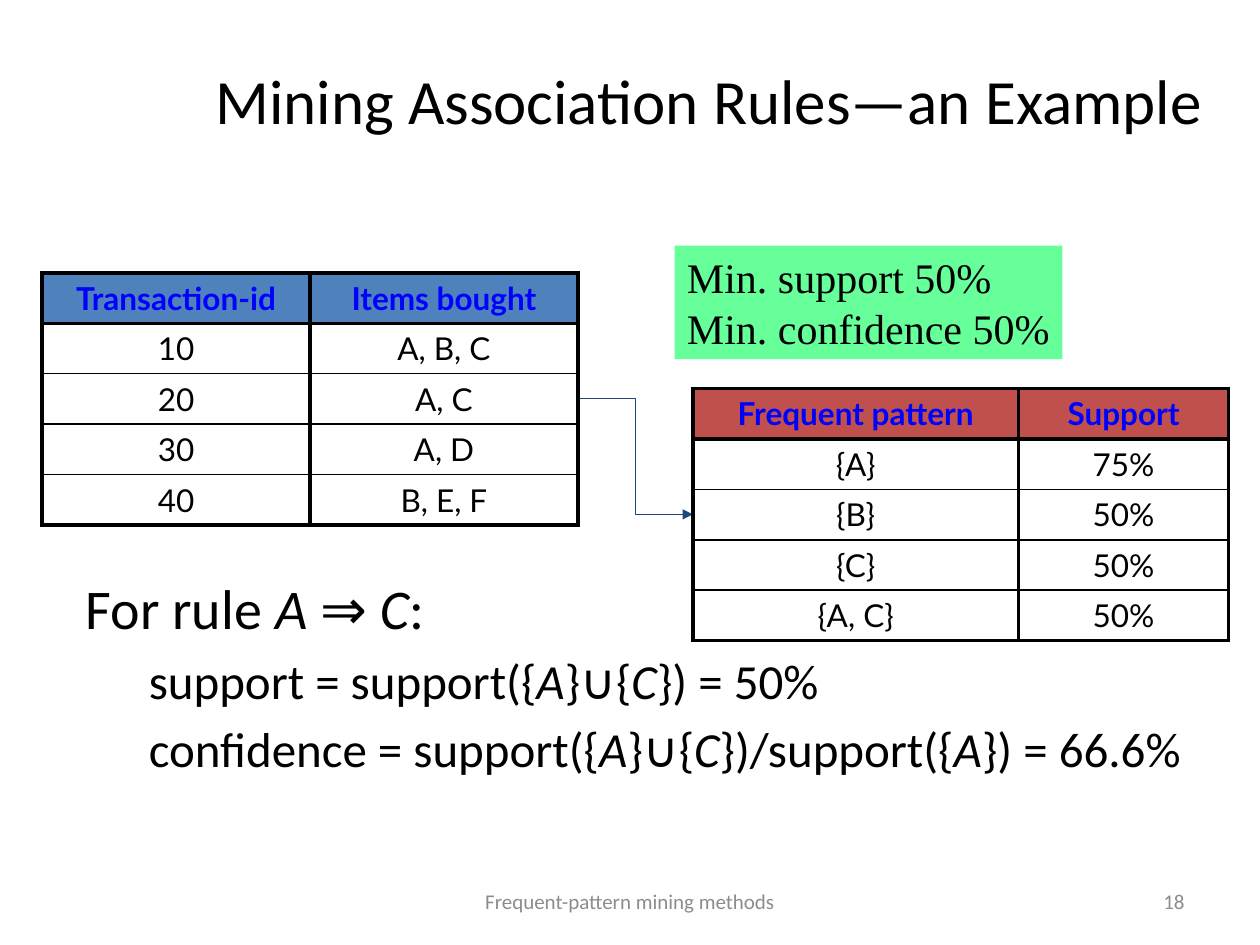
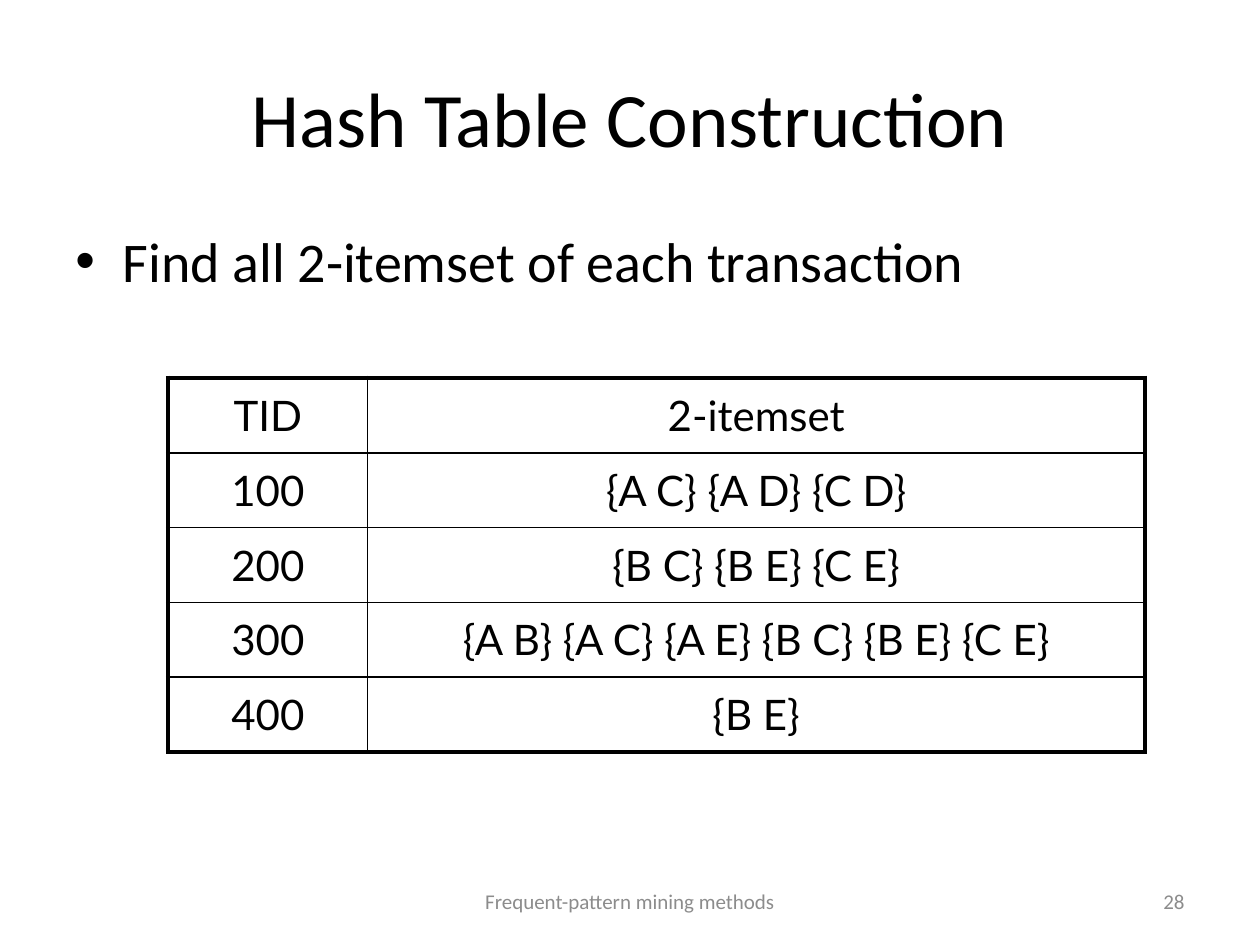
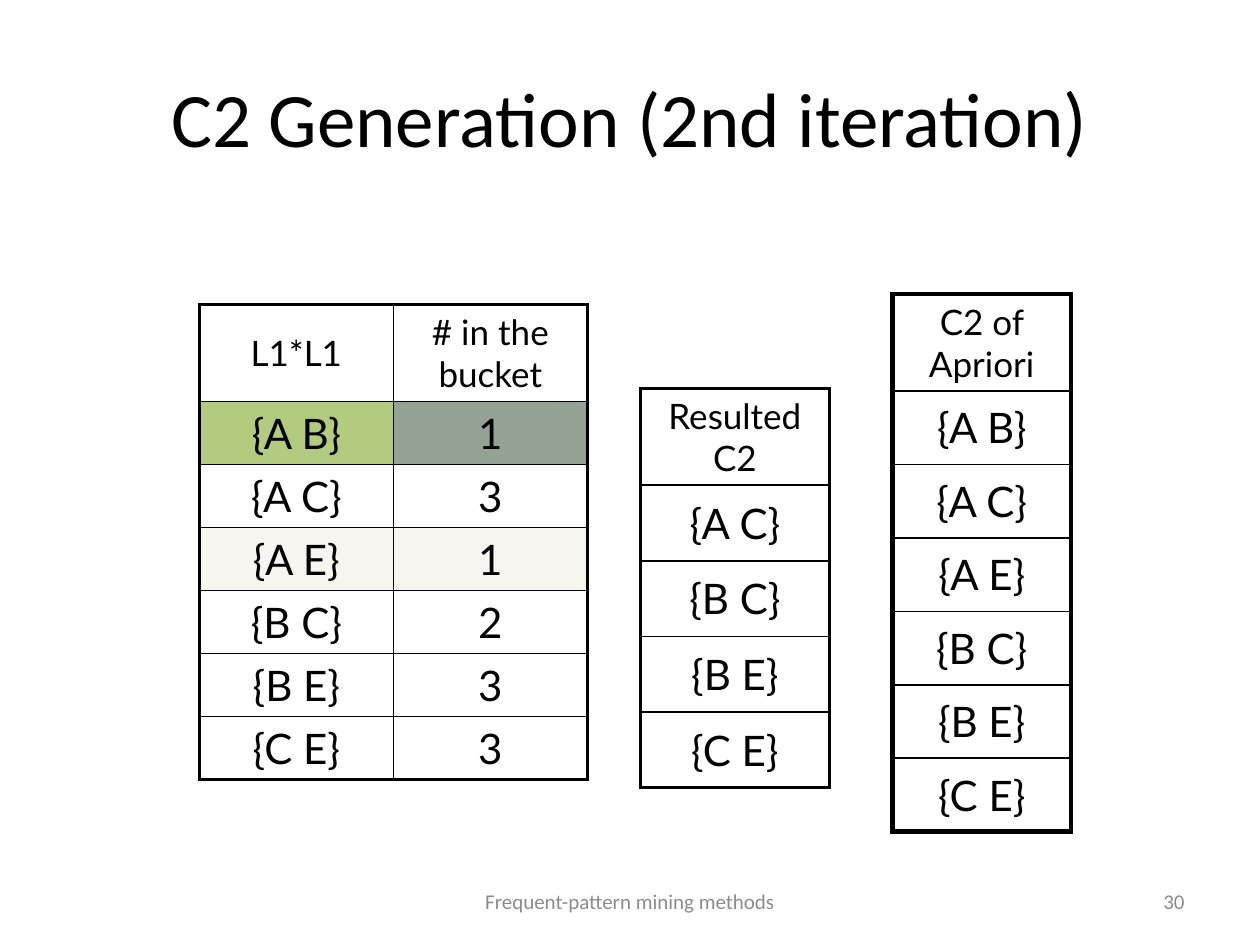
from dataclasses import dataclass

from lxml import etree
from pptx import Presentation
from pptx.dml.color import RGBColor
from pptx.enum.shapes import MSO_CONNECTOR, MSO_SHAPE
from pptx.enum.text import MSO_ANCHOR, PP_ALIGN
from pptx.oxml.ns import qn
from pptx.util import Cm, Pt

ELBOW = MSO_CONNECTOR.ELBOW
RECTANGLE = MSO_SHAPE.RECTANGLE
TOP, MIDDLE = MSO_ANCHOR.TOP, MSO_ANCHOR.MIDDLE
LEFT, CENTER, RIGHT = PP_ALIGN.LEFT, PP_ALIGN.CENTER, PP_ALIGN.RIGHT

BLACK = RGBColor(0x00, 0x00, 0x00)
GRAY = RGBColor(0x8C, 0x8C, 0x8C)
NAVY = RGBColor(0x1F, 0x49, 0x7D)
HEADING_BLUE = RGBColor(0x00, 0x00, 0xFF)
STEEL_BLUE = RGBColor(0x4F, 0x81, 0xBD)
BRICK_RED = RGBColor(0xC0, 0x50, 0x4D)
MINT = RGBColor(0x66, 0xFF, 0x99)
LEAF_GREEN = RGBColor(0x66, 0x99, 0x00)
DARK_GREEN = RGBColor(0x28, 0x46, 0x2B)
CREAM = RGBColor(0xEE, 0xEC, 0xE1)

BODY_FONT, TABLE_FONT, NOTE_FONT = "Calibri", "Lato", "Times New Roman"
FOOTER = "Frequent-pattern mining methods"
THIN = 1


@dataclass
class Box:
    left: float
    top: float
    width: float
    height: float

    def lengths(self):
        return Cm(self.left), Cm(self.top), Cm(self.width), Cm(self.height)


SLIDE = Box(0, 0, 25.4, 19.05)
TITLE = Box(1.27, 0.76, 22.86, 3.18)


def write(para, text, size=18, font=BODY_FONT, color=BLACK, bold=False,
          align=LEFT, margin=0, indent=0, before=0, bullet=None):
    para.alignment = align
    para.space_before = Pt(before)
    settings = para._p.get_or_add_pPr()
    settings.set("marL", str(Cm(margin)))
    settings.set("indent", str(Cm(indent)))
    if bullet:
        etree.SubElement(settings, qn("a:buFont"), typeface="Arial")
        etree.SubElement(settings, qn("a:buChar"), char=bullet)
    for index, part in enumerate(text.split("_")):
        if part:
            span = para.add_run()
            span.text = part
            span.font.size = Pt(size)
            span.font.name = font
            span.font.color.rgb = color
            span.font.bold = bold
            span.font.italic = index % 2 == 1


def add_text(page, box, text, anchor=MIDDLE, **style):
    frame = page.shapes.add_textbox(*box.lengths()).text_frame
    frame.word_wrap = True
    frame.vertical_anchor = anchor
    write(frame.paragraphs[0], text, **style)
    return frame


def add_page(deck, title, number, title_box=TITLE, title_size=44):
    page = deck.slides.add_slide(deck.slide_layouts[6])
    add_text(page, title_box, title, size=title_size, align=CENTER)
    add_footer(page, Box(8.68, 17.66, 15.45, 1.01), number)
    return page


def add_footer(page, box, number):
    caption = Box(box.left, box.top, 8.04, box.height)
    counter = Box(box.left + box.width - 5.93, box.top, 5.93, box.height)
    add_text(page, caption, FOOTER, size=12, color=GRAY, align=CENTER)
    add_text(page, counter, str(number), size=12, color=GRAY, align=RIGHT)


def set_borders(cell, widths):
    settings = cell._tc.get_or_add_tcPr()
    for index, (side, width) in enumerate(zip("LRTB", widths)):
        line = etree.Element(qn(f"a:ln{side}"), w=str(Pt(width)))
        fill = etree.SubElement(line, qn("a:solidFill"))
        etree.SubElement(fill, qn("a:srgbClr"), val=str(BLACK))
        settings.insert(index, line)


def fill_cell(cell, color, opacity=100):
    if color is None:
        cell.fill.background()
        return
    cell.fill.solid()
    cell.fill.fore_color.rgb = color
    if opacity < 100:
        swatch = cell._tc.tcPr.find(qn("a:solidFill")).find(qn("a:srgbClr"))
        etree.SubElement(swatch, qn("a:alpha"), val=str(opacity * 1000))


def edges(count, outer, inner, after_first):
    return [outer, after_first, *[inner] * (count - 2), outer] if count > 1 else [outer] * 2


def add_grid(page, box, rows, columns, outer, column_line=THIN, heading_line=THIN,
             heading_height=None, heading_style=None, heading_fill=None,
             heading_anchor=MIDDLE, anchor=MIDDLE, size=24, tints=None):
    table = page.shapes.add_table(len(rows), len(columns), *box.lengths()).table
    table.first_row = table.horz_banding = False
    for column, width in zip(table.columns, columns):
        column.width = Cm(width)
    heading_height = heading_height or box.height / len(rows)
    row_height = (box.height - heading_height) / (len(rows) - 1)
    across = edges(len(columns), outer, column_line, column_line)
    down = edges(len(rows), outer, THIN, heading_line)
    for row, texts in enumerate(rows):
        table.rows[row].height = Cm(row_height if row else heading_height)
        style = {"size": size, **({} if row else heading_style or {})}
        for column, text in enumerate(texts):
            cell = table.cell(row, column)
            cell.vertical_anchor = anchor if row else heading_anchor
            write(cell.text_frame.paragraphs[0], text, font=TABLE_FONT, align=CENTER, **style)
            tint = (tints or {}).get((row, column))
            if tint:
                fill_cell(cell, tint, 50)
            else:
                fill_cell(cell, None if row else heading_fill)
            set_borders(cell, (*across[column:column + 2], *down[row:row + 2]))


def add_example_table(page, box, rows, columns, heading_fill):
    add_grid(page, box, rows, columns, 2.25, column_line=2.25, heading_line=2.25,
             heading_style={"color": HEADING_BLUE, "bold": True}, heading_fill=heading_fill,
             heading_anchor=TOP, anchor=TOP, size=18)


def add_thresholds(page, box):
    note = page.shapes.add_shape(RECTANGLE, *box.lengths())
    note.shadow.inherit = False
    note.fill.solid()
    note.fill.fore_color.rgb = MINT
    note.line.fill.background()
    frame = note.text_frame
    frame.word_wrap = False
    frame.vertical_anchor = MIDDLE
    write(frame.paragraphs[0], "Min. support 50%", size=24, font=NOTE_FONT)
    write(frame.add_paragraph(), "Min. confidence 50%", size=24, font=NOTE_FONT)


def add_table_link(page, source, target):
    ends = (source.left + source.width, source.top + source.height / 2,
            target.left, target.top + target.height / 2)
    link = page.shapes.add_connector(ELBOW, *map(Cm, ends))
    link.line.color.rgb = NAVY
    link.line.width = Pt(0.75)
    etree.SubElement(link.line._get_or_add_ln(), qn("a:tailEnd"), type="triangle")
    etree.SubElement(link._element.spPr, qn("a:effectLst"))


def add_rule_measures(page, box):
    frame = add_text(page, box, "For rule _A_ ⇒ _C_:", anchor=TOP, size=32,
                     margin=0.95, indent=-0.95, before=6.4)
    for text in ("support = support({_A_}∪{_C_}) = 50%",
                 "confidence = support({_A_}∪{_C_})/support({_A_}) = 66.6%"):
        write(frame.add_paragraph(), text, size=28, margin=2.06, indent=-0.79, before=5.6)


def build_rule_example(deck):
    page = add_page(deck, "Mining Association Rules—an Example", 18,
                    Box(3.18, 1.06, 22.22, 1.9), 36)
    transactions = Box(0.85, 5.5, 10.8, 5.08)
    patterns = Box(13.97, 7.83, 10.8, 5.08)
    add_rule_measures(page, Box(1.48, 11.43, 23.1, 5.94))
    add_thresholds(page, Box(13.6, 4.95, 7.82, 2.29))
    add_table_link(page, transactions, patterns)
    add_example_table(page, transactions, [
        ("Transaction-id", "Items bought"), ("10", "A, B, C"), ("20", "A, C"),
        ("30", "A, D"), ("40", "B, E, F")], (5.4, 5.4), STEEL_BLUE)
    add_example_table(page, patterns, [
        ("Frequent pattern", "Support"), ("{A}", "75%"), ("{B}", "50%"),
        ("{C}", "50%"), ("{A, C}", "50%")], (6.56, 4.24), BRICK_RED)


def build_hash_table(deck):
    page = add_page(deck, "Hash Table Construction", 28)
    add_text(page, Box(1.27, 4.45, 22.86, 12.57), "Find all 2-itemset of each transaction",
             anchor=TOP, size=32, margin=0.95, indent=-0.95, before=6.4, bullet="•")
    add_grid(page, Box(3.39, 7.62, 19.69, 7.54), [
        ("TID", "2-itemset"), ("100", "{A C} {A D} {C D}"), ("200", "{B C} {B E} {C E}"),
        ("300", "{A B} {A C} {A E} {B C} {B E} {C E}"), ("400", "{B E}")], (4.02, 15.67), 3)


def build_candidates(deck):
    page = add_page(deck, "C2 Generation (2nd iteration)", 30)
    heading = {"heading_height": 1.95, "heading_style": {"size": 20}}
    pairs = ["{A B}", "{A C}", "{A E}", "{B C}", "{B E}", "{C E}"]
    counts = [1, 3, 1, 2, 3, 3]
    frequent = [pair for pair, count in zip(pairs, counts) if count > 1]
    tints = {(1, 0): LEAF_GREEN, (1, 1): DARK_GREEN, (3, 0): CREAM, (3, 1): CREAM}
    add_grid(page, Box(4.02, 6.14, 7.82, 9.58),
             [("L1*L1", "# in the bucket"), *zip(pairs, map(str, counts))],
             (3.91, 3.91), 2.25, tints=tints, **heading)
    for box, title, items, outer in (
            (Box(12.91, 7.83, 3.81, 8.05), "Resulted C2", frequent, 2.25),
            (Box(17.99, 5.93, 3.6, 10.84), "C2 of Apriori", pairs, 3)):
        add_grid(page, box, [(title,), *((item,) for item in items)], (box.width,), outer,
                 heading_anchor=TOP, **heading)


def main():
    deck = Presentation()
    deck.slide_width, deck.slide_height = Cm(SLIDE.width), Cm(SLIDE.height)
    build_rule_example(deck)
    build_hash_table(deck)
    build_candidates(deck)
    deck.save("out.pptx")


if __name__ == "__main__":
    main()
